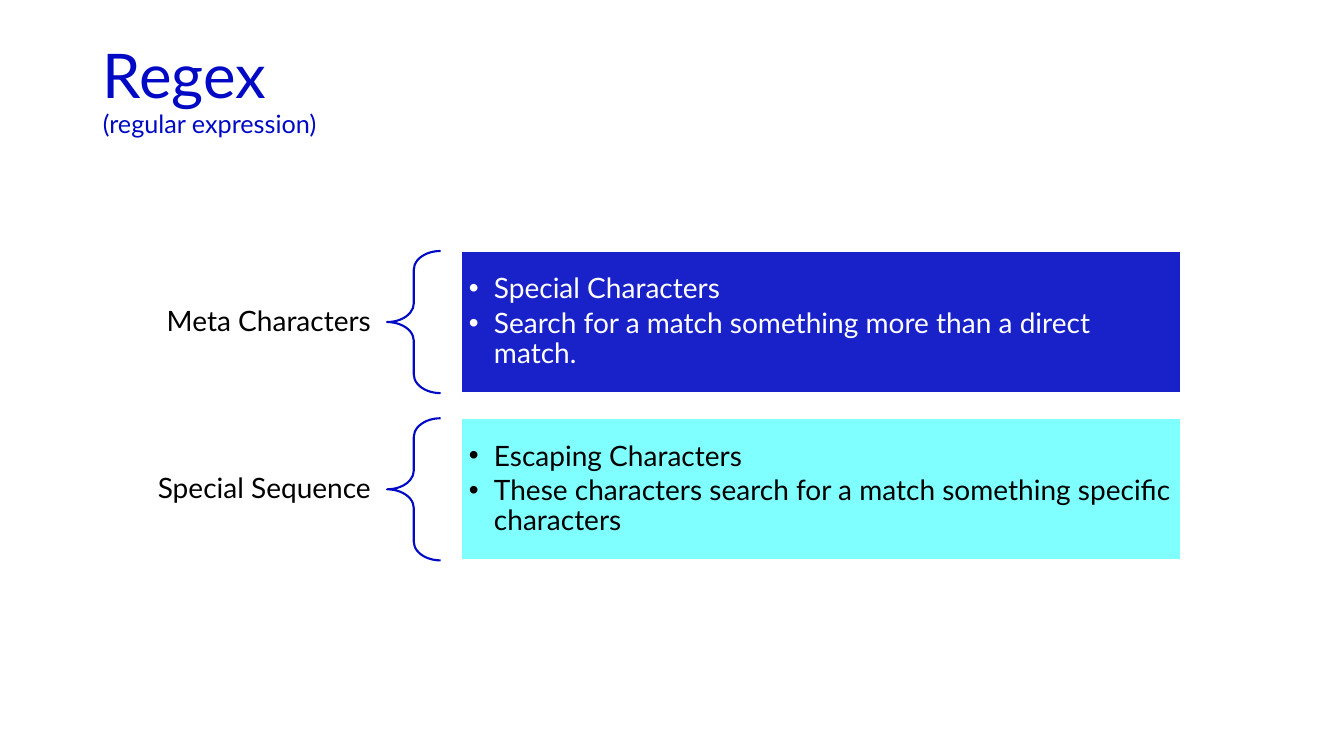
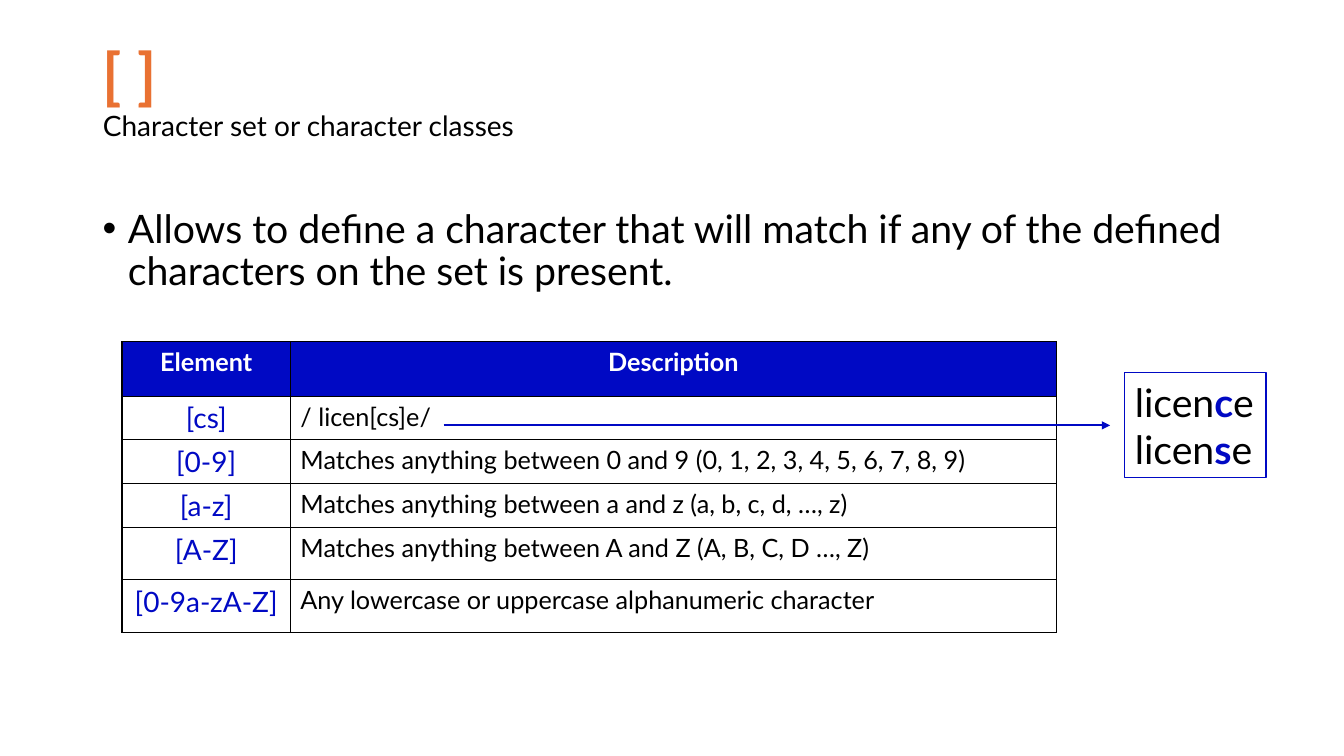
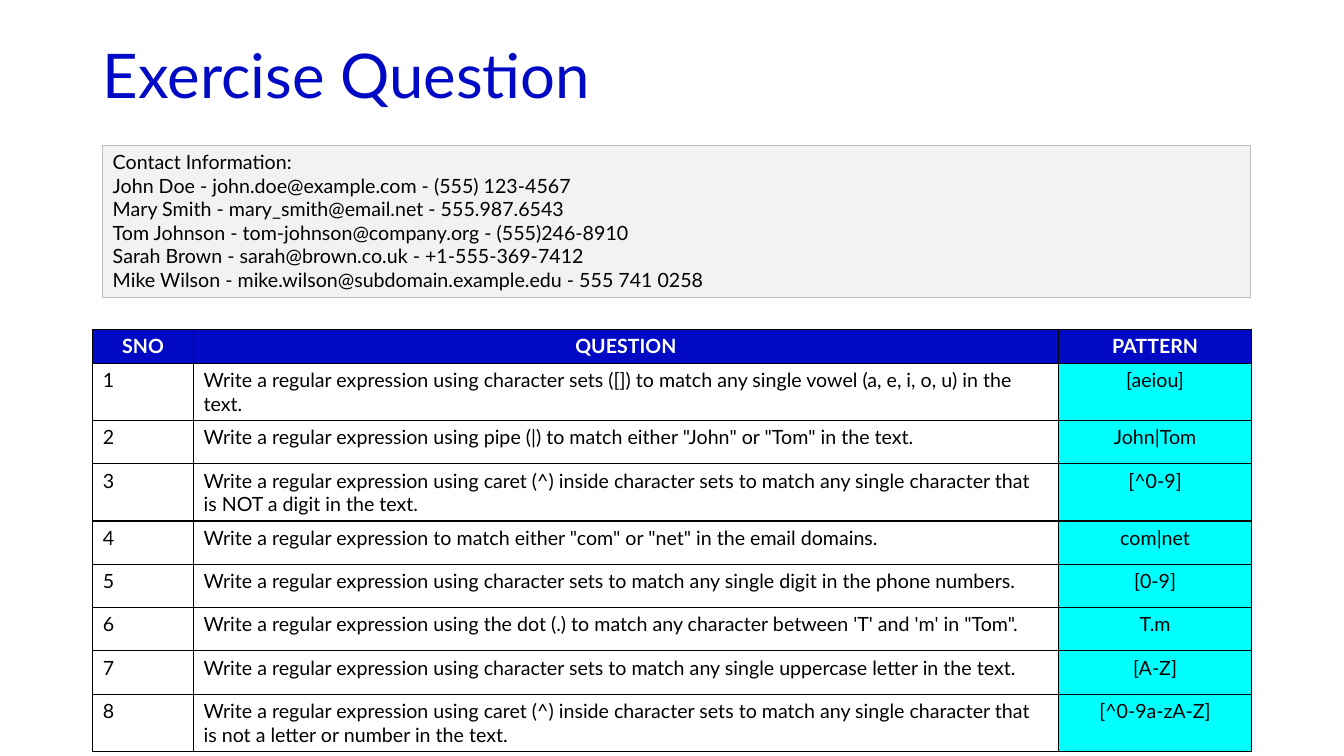
from dataclasses import dataclass

from lxml.etree import SubElement
from pptx import Presentation
from pptx.dml.color import RGBColor
from pptx.enum.shapes import MSO_CONNECTOR, MSO_SHAPE
from pptx.enum.text import MSO_ANCHOR, MSO_AUTO_SIZE, PP_ALIGN
from pptx.oxml.ns import qn
from pptx.util import Inches, Pt


@dataclass(frozen=True)
class Theme:
    font: str = "Lato"
    blue: RGBColor = RGBColor(0x00, 0x09, 0xC4)
    cyan: RGBColor = RGBColor(0x00, 0xFF, 0xFF)
    orange: RGBColor = RGBColor(0xE9, 0x71, 0x32)
    black: RGBColor = RGBColor(0x00, 0x00, 0x00)
    white: RGBColor = RGBColor(0xFF, 0xFF, 0xFF)
    pale_gray: RGBColor = RGBColor(0xF2, 0xF2, 0xF2)
    mid_gray: RGBColor = RGBColor(0xBF, 0xBF, 0xBF)
    title: int = 44
    large: int = 28
    medium: int = 20
    small: int = 18
    tiny: int = 14
    tight: float = 0.9


theme = Theme()
deck = Presentation()
deck.slide_width, deck.slide_height = Inches(13.33), Inches(7.5)
column, row = deck.slide_width / 100, deck.slide_height / 100


def area(left, top, width, height):
    return int(left * column), int(top * row), int(width * column), int(height * row)


def write(frame, lines, size, align=PP_ALIGN.LEFT, spacing=1.0, after=0, bullet=False):
    for index, runs in enumerate(lines):
        para = frame.add_paragraph() if index else frame.paragraphs[0]
        para.alignment, para.line_spacing = align, spacing
        para.space_before, para.space_after = Pt(0), Pt(after)
        for text, color, bold, *own_size in runs:
            if own_size:
                para.add_line_break()
            span = para.add_run()
            span.text = text
            span.font.name, span.font.bold = theme.font, bold
            span.font.size = Pt(own_size[0] if own_size else size)
            span.font.color.rgb = color
        if bullet:
            properties = para._p.get_or_add_pPr()
            properties.set("marL", str(Inches(0.25)))
            properties.set("indent", str(-Inches(0.25)))
            SubElement(properties, qn("a:buFont"), typeface="Arial")
            SubElement(properties, qn("a:buChar"), char="•")


titles = [
    [("Regex", theme.blue, False), ("(regular expression)", theme.blue, False, theme.small)],
    [("[ ]", theme.orange, True),
     ("Character set or character classes", theme.black, False, theme.medium)],
    [("Exercise Question", theme.blue, False)],
]
pages = []
for runs in titles:
    page = deck.slides.add_slide(deck.slide_layouts[5])
    title = page.shapes.title
    title.left, title.top, title.width, title.height = area(6.9, 5.33, 86.25, 19.33)
    title.text_frame.auto_size = MSO_AUTO_SIZE.NONE
    title.text_frame.vertical_anchor = MSO_ANCHOR.TOP
    write(title.text_frame, [runs], theme.title, spacing=theme.tight)
    pages.append(page)
overview_page, set_page, exercise_page = pages

groups = [
    ("Meta Characters", theme.blue, 90, theme.white,
     ["Special Characters", "Search for a match something more than a direct match."]),
    ("Special Sequence", theme.cyan, 50, theme.black,
     ["Escaping Characters", "These characters search for a match something specific characters"]),
]
for index, (name, fill, opacity, ink, points) in enumerate(groups):
    top, height = 33.2 + index * 22.13, 18.8
    label = overview_page.shapes.add_textbox(*area(9.08, top, 19.72, height))
    frame = label.text_frame
    frame.word_wrap, frame.vertical_anchor = True, MSO_ANCHOR.MIDDLE
    frame.margin_left = frame.margin_right = Inches(0.16)
    write(frame, [[(name, theme.black, False)]], theme.medium, PP_ALIGN.RIGHT, theme.tight)

    brace = overview_page.shapes.add_shape(MSO_SHAPE.LEFT_BRACE, *area(28.8, top, 3.98, height))
    brace.shadow.inherit = False
    brace.adjustments[0], brace.adjustments[1] = 0.35, 0.5
    brace.fill.background()
    brace.line.color.rgb, brace.line.width = theme.blue, Pt(1.5)

    box = overview_page.shapes.add_shape(MSO_SHAPE.RECTANGLE, *area(34.28, top, 53.63, height))
    box.shadow.inherit = False
    box.fill.solid()
    box.fill.fore_color.rgb = fill
    fill_color = box._element.spPr.find(qn("a:solidFill")).find(qn("a:srgbClr"))
    SubElement(fill_color, qn("a:alpha"), val=str(opacity * 1000))
    box.line.color.rgb, box.line.width = theme.white, Pt(1.5)
    frame = box.text_frame
    frame.word_wrap, frame.vertical_anchor = True, MSO_ANCHOR.MIDDLE
    frame.margin_left = frame.margin_right = Inches(0.08)
    frame.margin_top = frame.margin_bottom = Inches(0.08)
    write(frame, [[(point, ink, False)] for point in points], theme.medium,
          spacing=theme.tight, after=3, bullet=True)

body = set_page.shapes.add_textbox(*area(6.9, 27.07, 86.25, 63.47))
body.text_frame.word_wrap = True
write(body.text_frame,
      [[("Allows to define a character that will match if any of the defined "
         "characters on the set is present.", theme.black, False)]],
      theme.large, spacing=theme.tight, bullet=True)

elements = [
    ("Element", "Description"),
    ("[cs]", "/ licen[cs]e/"),
    ("[0-9]", "Matches anything between 0 and 9 (0, 1, 2, 3, 4, 5, 6, 7, 8, 9)"),
    ("[a-z]", "Matches anything between a and z (a, b, c, d, …, z)"),
    ("[A-Z]", "Matches anything between A and Z (A, B, C, D …, Z)"),
    ("[0-9a-zA-Z]", "Any lowercase or uppercase alphanumeric character"),
]
opening = "Write a regular expression "
questions = [
    ("using character sets ([]) to match any single vowel (a, e, i, o, u) in the text.", "[aeiou]"),
    ('using pipe (|) to match either "John" or "Tom" in the text.', "John|Tom"),
    ("using caret (^) inside character sets to match any single character "
     "that is NOT a digit in the text.", "[^0-9]"),
    ('to match either "com" or "net" in the email domains.', "com|net"),
    ("using character sets to match any single digit in the phone numbers.", "[0-9]"),
    ("using the dot (.) to match any character between 'T' and 'm' in \"Tom\".", "T.m"),
    ("using character sets to match any single uppercase letter in the text.", "[A-Z]"),
    ("using caret (^) inside character sets to match any single character "
     "that is not a letter or number in the text.", "[^0-9a-zA-Z]"),
]
exercises = [("SNO", "QUESTION", "PATTERN")] + [
    (str(number), opening + question, pattern)
    for number, (question, pattern) in enumerate(questions, 1)
]

left, center = PP_ALIGN.LEFT, PP_ALIGN.CENTER
element_styles = [(center, theme.medium, theme.blue, None), (left, theme.small, theme.black, None)]
exercise_styles = [(left, theme.tiny, theme.black, None), (left, theme.tiny, theme.black, None),
                   (center, theme.tiny, theme.black, theme.cyan)]
tables = [
    (set_page, elements, (9.08, 45.2), [12.53, 57], [7.2, 5.6, 5.47, 5.6, 6.93, 6.93],
     theme.small, element_styles),
    (exercise_page, exercises, (6.9, 43.6), [7.5, 64.35, 14.4], [3.33] * 2 + [5.73] * 7,
     theme.tiny, exercise_styles),
]
for page, records, corner, widths, heights, header_size, styles in tables:
    table = page.shapes.add_table(
        len(records), len(widths), *area(*corner, sum(widths), sum(heights))).table
    table.first_row = table.horz_banding = False
    for table_column, width in zip(table.columns, widths):
        table_column.width = int(width * column)
    for row_index, record in enumerate(records):
        table.rows[row_index].height = int(heights[row_index] * row)
        for column_index, text in enumerate(record):
            align, size, ink, fill = styles[column_index]
            header = row_index == 0
            if header:
                align, size, ink, fill = center, header_size, theme.white, theme.blue
            cell = table.cell(row_index, column_index)
            write(cell.text_frame, [[(text, ink, header)]], size, align)
            properties = cell._tc.get_or_add_tcPr()
            for side in ("a:lnL", "a:lnR", "a:lnT", "a:lnB"):
                border = SubElement(properties, qn(side), w=str(Pt(1)))
                border_fill = SubElement(border, qn("a:solidFill"))
                SubElement(border_fill, qn("a:srgbClr"), val=str(theme.black))
            if fill is None:
                cell.fill.background()
            else:
                cell.fill.solid()
                cell.fill.fore_color.rgb = fill

contacts = [
    "Contact Information:",
    "John Doe - john.doe@example.com - (555) 123-4567",
    "Mary Smith - mary_smith@email.net - 555.987.6543",
    "Tom Johnson - tom-johnson@company.org - (555)246-8910",
    "Sarah Brown - sarah@brown.co.uk - +1-555-369-7412",
    "Mike Wilson - mike.wilson@subdomain.example.edu - 555 741 0258",
]
spellings = [
    [("licen", theme.black, False), (letter, theme.blue, True), ("e", theme.black, False)]
    for letter in "cs"
]
panels = [
    (set_page, (83.7, 49.33, 10.5, 13.87), None, theme.blue, False, spellings, theme.large),
    (exercise_page, (7.65, 19.2, 85.43, 20.13), theme.pale_gray, theme.mid_gray, True,
     [[(contact, theme.black, False)] for contact in contacts], theme.tiny),
]
for page, place, fill, outline, wrap, lines, size in panels:
    panel = page.shapes.add_shape(MSO_SHAPE.RECTANGLE, *area(*place))
    panel.shadow.inherit = False
    if fill is None:
        panel.fill.background()
    else:
        panel.fill.solid()
        panel.fill.fore_color.rgb = fill
    panel.line.color.rgb, panel.line.width = outline, Pt(0.75)
    frame = panel.text_frame
    frame.word_wrap, frame.vertical_anchor = wrap, MSO_ANCHOR.TOP
    frame.auto_size = MSO_AUTO_SIZE.SHAPE_TO_FIT_TEXT
    write(frame, lines, size)

arrow = set_page.shapes.add_connector(
    MSO_CONNECTOR.STRAIGHT, int(33 * column), int(56.27 * row), int(82.6 * column), int(56.27 * row))
arrow.line.color.rgb, arrow.line.width = theme.blue, Pt(1.5)
SubElement(arrow.line._get_or_add_ln(), qn("a:tailEnd"), type="triangle")
SubElement(arrow._element.spPr, qn("a:effectLst"))

deck.save("out.pptx")
